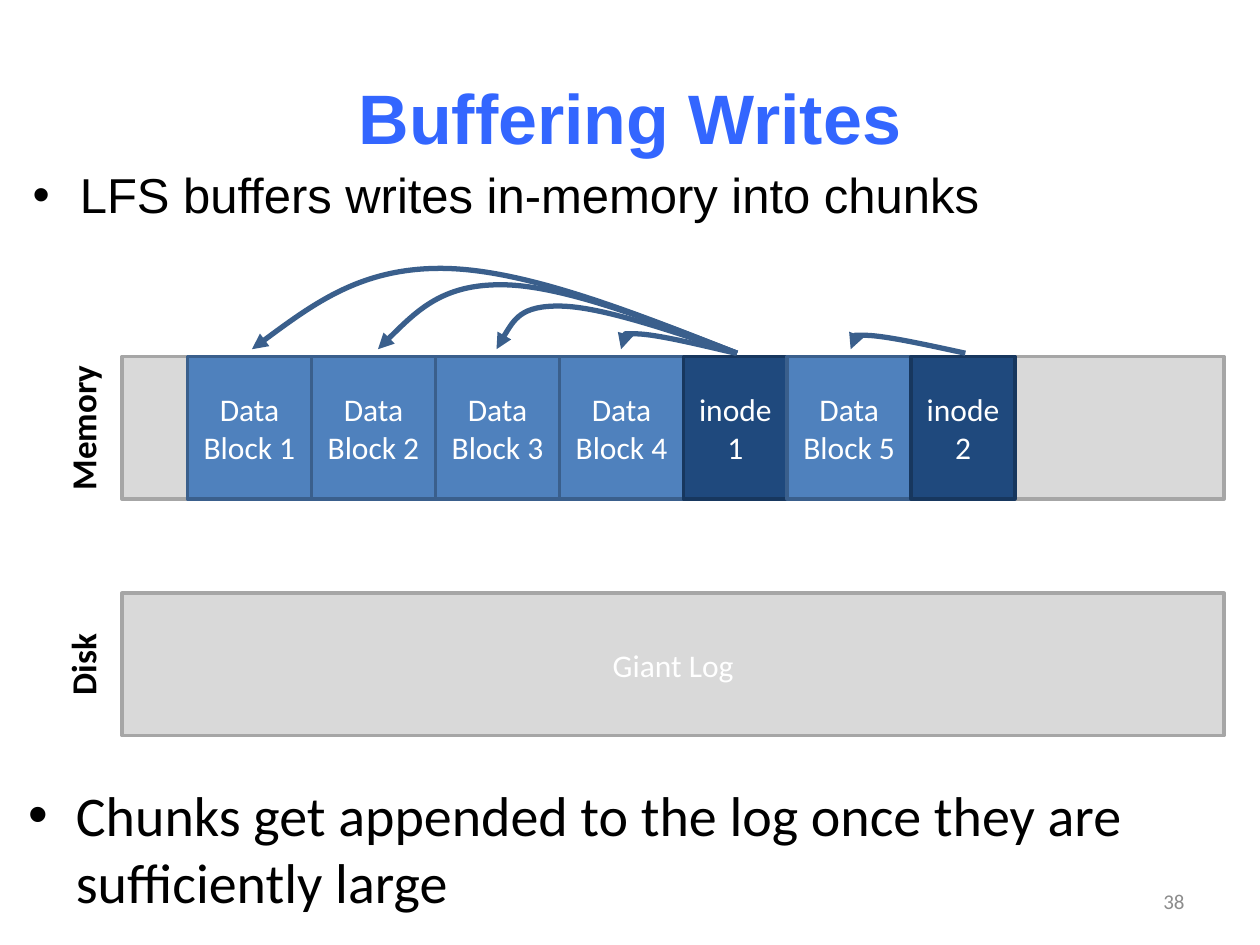
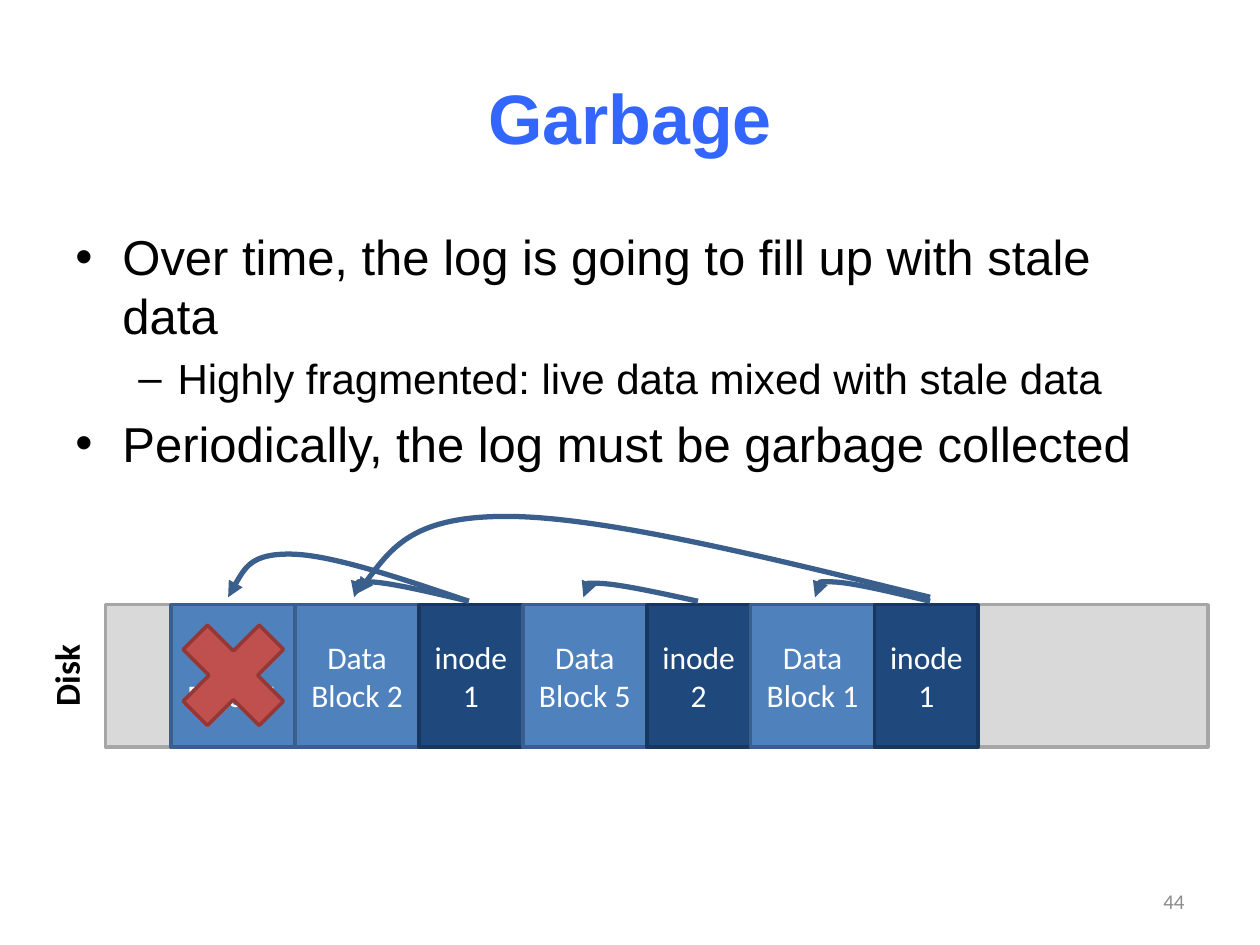
from lxml import etree
from pptx import Presentation
from pptx.dml.color import RGBColor
from pptx.enum.shapes import MSO_SHAPE as Preset
from pptx.enum.text import MSO_ANCHOR as Anchor, PP_ALIGN as Align
from pptx.oxml.ns import qn
from pptx.util import Cm, Pt

WHITE, BLACK = "FFFFFF", "000000"
TITLE_BLUE, PAGE_GREY = "3366FF", "8C8C8C"
LOG_LOOK = ("D9D9D9", "A6A6A6")
DATA_LOOK = ("4F81BD", "3A5F8C")
INODE_LOOK = ("1F497D", "17375E")
STALE_LOOK = ("C0504D", "953735")

# Lengths in centimetres
LOG_WIDTH, LOG_HEIGHT = 22.22, 2.87
FIRST_BLOCK_OFFSET = 1.32
DATA_WIDTH, INODE_WIDTH = 2.5, 2.09

# Bullet sign, left margin and hanging indent for each level
BULLETS = [("•", 0.95, -0.95), ("–", 2.06, -0.79)]


def color(hex_code):
    return RGBColor.from_string(hex_code)


class Deck:
    """Holds the shared style and the slide being drawn."""

    def __init__(self):
        self.prs = Presentation()
        self.prs.slide_width, self.prs.slide_height = Cm(25.4), Cm(19.05)
        self.shapes = None

    def new_slide(self, title, page):
        slide = self.prs.slides.add_slide(self.prs.slide_layouts[6])
        self.shapes = slide.shapes
        self.text((1.27, 0.76, 22.86, 3.18), title, 40, TITLE_BLUE,
                  Align.CENTER, "Arial", True)
        self.text((18.21, 17.65, 5.92, 1.02), page, 12, PAGE_GREY, Align.RIGHT)

    def set_text(self, frame, content, size, hue, align, font="Calibri", bold=False):
        frame.word_wrap = True
        frame.vertical_anchor = Anchor.MIDDLE
        frame.text = content
        for paragraph in frame.paragraphs:
            paragraph.alignment = align
            for run in paragraph.runs:
                self.style(run.font, size, hue, font, bold)

    def style(self, run_font, size, hue, font, bold=False):
        run_font.size, run_font.name, run_font.bold = Pt(size), font, bold
        run_font.color.rgb = color(hue)

    def text(self, area, content, size, hue, align, font="Calibri", bold=False):
        box = self.shapes.add_textbox(*map(Cm, area))
        self.set_text(box.text_frame, content, size, hue, align, font, bold)
        return box

    def bullets(self, area, items, font="Arial"):
        """Each item is (level, size, wording)."""
        frame = self.shapes.add_textbox(*map(Cm, area)).text_frame
        frame.word_wrap = True
        for index, (level, size, wording) in enumerate(items):
            paragraph = frame.add_paragraph() if index else frame.paragraphs[0]
            paragraph.text = wording
            paragraph.level = level
            sign, margin, indent = BULLETS[level]
            props = paragraph._p.get_or_add_pPr()
            props.set("marL", str(Cm(margin)))
            props.set("indent", str(Cm(indent)))
            etree.SubElement(props, qn("a:buFont")).set("typeface", "Arial")
            etree.SubElement(props, qn("a:buChar")).set("char", sign)
            if index:
                paragraph.space_before = Pt(size * 0.2)
            self.style(paragraph.runs[0].font, size, BLACK, font)

    def block(self, area, look, content="", preset=Preset.RECTANGLE):
        shape = self.shapes.add_shape(preset, *map(Cm, area))
        shape.shadow.inherit = False
        fill, border = look
        shape.fill.solid()
        shape.fill.fore_color.rgb = color(fill)
        shape.line.color.rgb = color(border)
        shape.line.width = Pt(2)
        if content:
            self.set_text(shape.text_frame, content, 18, WHITE, Align.CENTER)

    def storage(self, left, top, name, content=""):
        """A grey band with its name turned sideways on the left."""
        self.block((left, top, LOG_WIDTH, LOG_HEIGHT), LOG_LOOK, content)
        width, height = 3.63, 1.12
        middle_x, middle_y = left - 0.8, top + LOG_HEIGHT / 2
        label = self.text((middle_x - width / 2, middle_y - height / 2, width, height),
                          name, 20, BLACK, Align.CENTER, bold=True)
        label.rotation = 270

    def log_entries(self, left, top, entries):
        """Data blocks and inodes side by side inside a band."""
        x = left + FIRST_BLOCK_OFFSET
        for entry in entries:
            is_inode = entry.startswith("inode")
            width = INODE_WIDTH if is_inode else DATA_WIDTH
            self.block((x, top, width, LOG_HEIGHT),
                       INODE_LOOK if is_inode else DATA_LOOK, entry)
            x += width

    def pointer(self, top, start_x, apex_x, rise, end_x, lift=0):
        """A smooth arrow from an inode over an apex down to a data block."""
        start, end = (start_x, top - 0.07 - lift), (end_x, top - 0.15 - lift)
        apex = (apex_x, top - rise)
        reach = [(s - e) / 6 for s, e in zip(start, end)]
        before = [a + r for a, r in zip(apex, reach)]
        after = [a - r for a, r in zip(apex, reach)]
        leaving = [(s + b) / 2 for s, b in zip(start, before)]
        landing = [(e + a) / 2 for e, a in zip(end, after)]
        points = [(Cm(x), Cm(y)) for x, y in
                  (leaving, before, apex, after, landing, end)]
        builder = self.shapes.build_freeform(Cm(start[0]), Cm(start[1]))
        builder.add_line_segments(points, close=False)
        arrow = builder.convert_to_shape()
        # Turn each three straight steps into one Bézier piece
        outline = next(arrow.element.iter(qn("a:path")))
        steps = outline.findall(qn("a:lnTo"))
        for first in (0, 3):
            curve = etree.SubElement(outline, qn("a:cubicBezTo"))
            for step in steps[first:first + 3]:
                curve.append(step[0])
                outline.remove(step)
        arrow.shadow.inherit = False
        arrow.fill.background()
        arrow.line.color.rgb = color(DATA_LOOK[1])
        arrow.line.width = Pt(3)
        etree.SubElement(arrow.line._get_or_add_ln(), qn("a:tailEnd")).set("type", "triangle")


def buffering_writes(deck):
    deck.new_slide("Buffering Writes", "38")
    deck.bullets((0.41, 3.2, 24.1, 1.98),
                 [(0, 28, "LFS buffers writes in-memory into chunks")])
    deck.bullets((0.33, 15.6, 24.74, 3),
                 [(0, 32, "Chunks get appended to the log once they are sufficiently large")],
                 "Calibri")
    # Memory and disk
    left, top = 2.46, 7.19
    deck.storage(left, top, "Memory")
    deck.storage(left, 11.96, "Disk", "Giant Log")
    deck.log_entries(left, top, [
        "Data Block 1", "Data Block 2", "Data Block 3", "Data Block 4",
        "inode\n1", "Data Block 5", "inode\n2"])
    # Start, apex, rise and end of each inode pointer
    for route in [(14.86, 8.92, 1.78, 5.08), (14.86, 10.13, 1.45, 7.62),
                  (14.86, 11.3, 1.02, 10.01), (14.83, 12.85, 0.46, 12.52),
                  (19.46, 17.48, 0.43, 17.15)]:
        deck.pointer(top, *route)


def garbage(deck):
    deck.new_slide("Garbage", "44")
    deck.bullets((1.27, 4.45, 22.86, 12.57), [
        (0, 28, "Over time, the log is going to fill up with stale data"),
        (1, 24, "Highly fragmented: live data mixed with stale data"),
        (0, 28, "Periodically, the log must be garbage collected")])
    # Log on disk
    left, top = 2.13, 12.19
    deck.storage(left, top, "Disk")
    deck.log_entries(left, top, [
        "Data Block 1", "Data Block 2", "inode\n1", "Data Block 5",
        "inode\n2", "Data Block 1", "inode\n1"])
    for route in [(9.45, 7.47, 0.46, 7.14), (14.07, 12.09, 0.43, 11.76),
                  (9.45, 5.87, 1.02, 4.6), (18.75, 16.79, 0.46, 16.43),
                  (18.75, 10.26, 1.78, 7.21, 0.08)]:
        deck.pointer(top, *route)
    # Stale block crossed out
    deck.block((3.23, 12.14, 2.95, 2.95), STALE_LOOK, preset=Preset.MATH_MULTIPLY)


def main():
    deck = Deck()
    buffering_writes(deck)
    garbage(deck)
    deck.prs.save("out.pptx")


if __name__ == "__main__":
    main()
